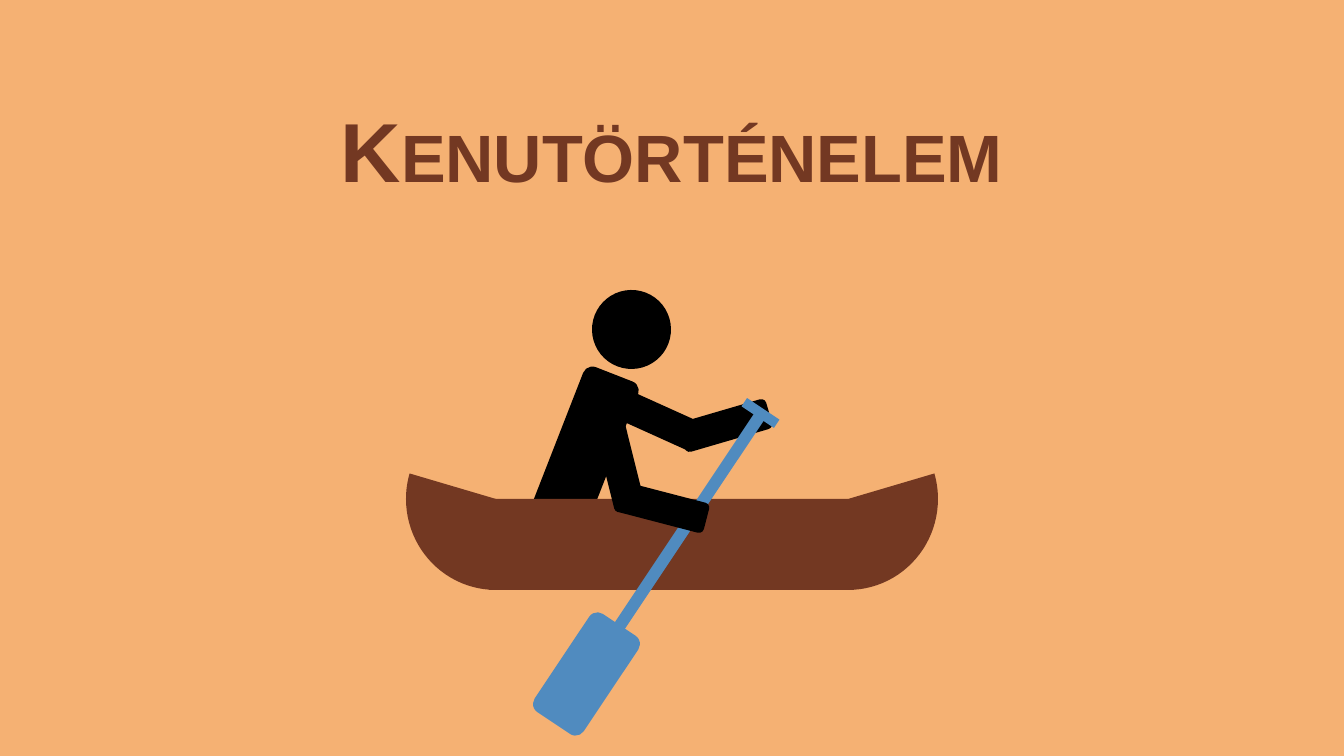
from dataclasses import dataclass

from pptx import Presentation
from pptx.dml.color import RGBColor
from pptx.enum.shapes import MSO_SHAPE as Kind
from pptx.enum.text import MSO_ANCHOR as Anchor, PP_ALIGN as Align
from pptx.shapes.group import GroupShape
from pptx.slide import Slide
from pptx.util import Pt

PX = 9110  # EMU per px
WIDE, HIGH = 1344, 756
SAND, BROWN, BLACK, BLUE = "F5B173", "733822", "000000", "508BBF"
ROUND, RECT = Kind.ROUNDED_RECTANGLE, Kind.RECTANGLE
LIMB = (31, 91)
STERN = (180, 182)
SWEEP = (53.674, 117.864)  # start and end of the pie
TILT = 33.7  # slant of the paddle
LEAN = 21.3  # slant of the torso


@dataclass
class Part:
    kind: Kind
    spot: tuple[int, int]
    size: tuple[int, int]
    fill: str
    turn: float = 0
    flip: bool = False


def limb(x: int, y: int, turn: float) -> Part:
    return Part(ROUND, (x, y), LIMB, BLACK, turn)


def end(x: int, flip: bool = False) -> Part:
    return Part(Kind.PIE, (x, 408), STERN, BROWN, flip=flip)


# Back to front
PARTS = [
    # Head, torso and far arm
    Part(Kind.OVAL, (592, 290), (79, 79), BLACK, LEAN),
    Part(ROUND, (556, 369), (59, 158), BLACK, LEAN),
    limb(641, 374, 294.3),
    limb(710, 380, 253.7),
    # Canoe
    Part(RECT, (489, 499), (359, 91), BROWN),
    end(406),
    end(WIDE - 406 - STERN[0], flip=True),
    # Near upper arm
    limb(604, 420, 346),
    # Paddle: blade, shaft and grip
    Part(ROUND, (557, 615), (59, 118), BLUE, TILT),
    Part(RECT, (684, 392), (12, 257), BLUE, TILT),
    Part(RECT, (741, 408), (39, 10), BLUE, TILT),
    # Near forearm
    limb(647, 462, 284.6),
]


def tint(code: str) -> RGBColor:
    return RGBColor.from_string(code)


def draw(group: GroupShape, part: Part) -> None:
    box = [n * PX for n in part.spot + part.size]
    shape = group.shapes.add_shape(part.kind, *box)
    shape.shadow.inherit = False
    shape.fill.solid()
    shape.fill.fore_color.rgb = tint(part.fill)
    shape.line.fill.background()
    shape.rotation = part.turn
    if part.kind == Kind.PIE:
        for i, angle in enumerate(SWEEP):
            shape.adjustments[i] = angle
    if part.flip:
        shape.element.spPr.xfrm.set("flipH", "1")


def head(slide: Slide, text: str) -> None:
    title = slide.shapes.title
    title.left, title.top = 168 * PX, 53 * PX
    title.width, title.height = 1008 * PX, 153 * PX
    frame = title.text_frame
    frame.text = text
    frame.word_wrap = True
    frame.vertical_anchor = Anchor.BOTTOM
    para = frame.paragraphs[0]
    para.alignment = Align.CENTER
    para.line_spacing = 0.9
    run = para.runs[0]
    font = run.font
    font.name, font.size, font.bold = "Arial", Pt(60), True
    font.color.rgb = tint(BROWN)
    run._r.get_or_add_rPr().set("cap", "small")


def main() -> None:
    deck = Presentation()
    deck.slide_width, deck.slide_height = WIDE * PX, HIGH * PX
    slide = deck.slides.add_slide(deck.slide_layouts[5])
    back = slide.background.fill
    back.solid()
    back.fore_color.rgb = tint(SAND)
    head(slide, "Kenutörténelem")
    group = slide.shapes.add_group_shape()
    for part in PARTS:
        draw(group, part)
    deck.save("out.pptx")


if __name__ == "__main__":
    main()
